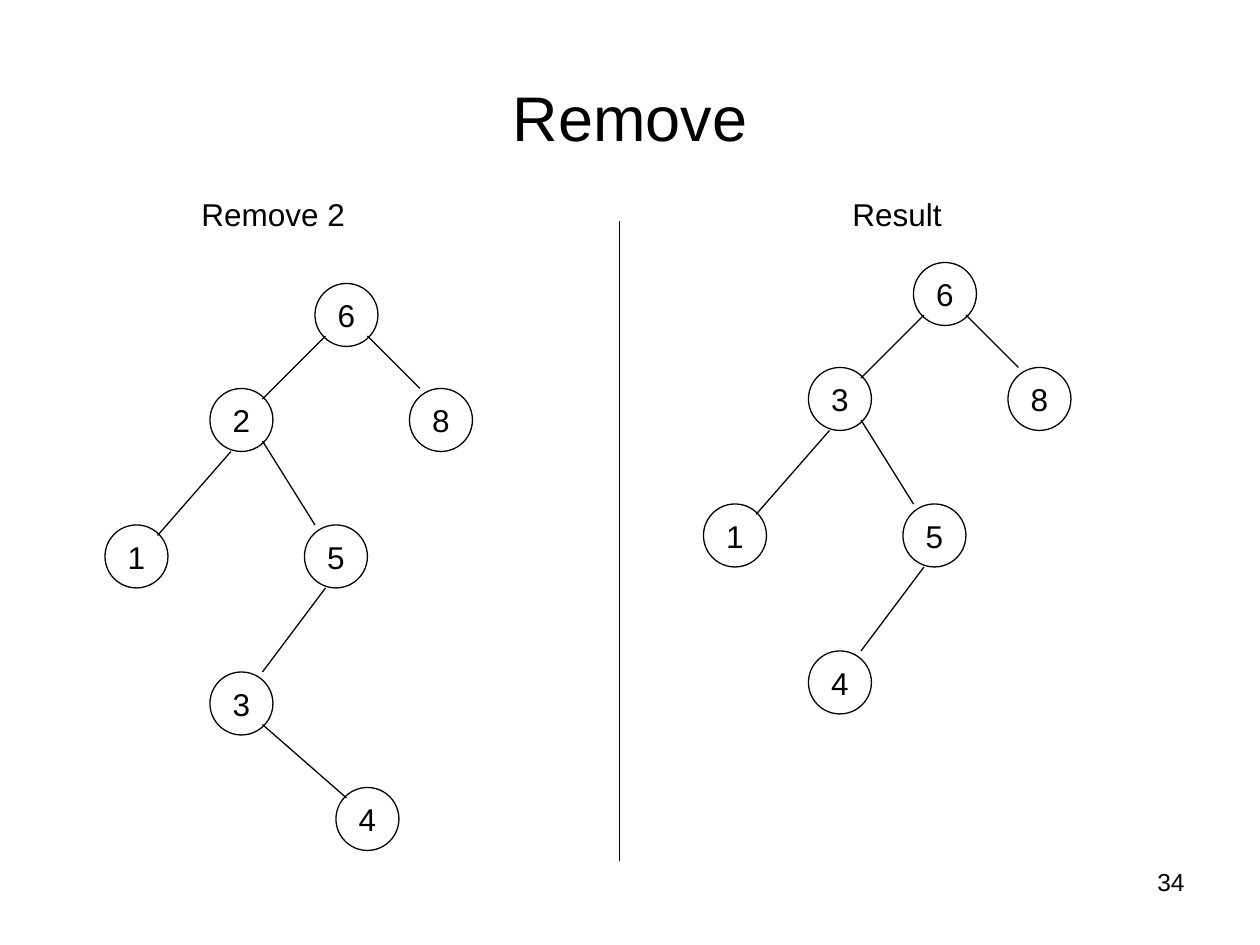
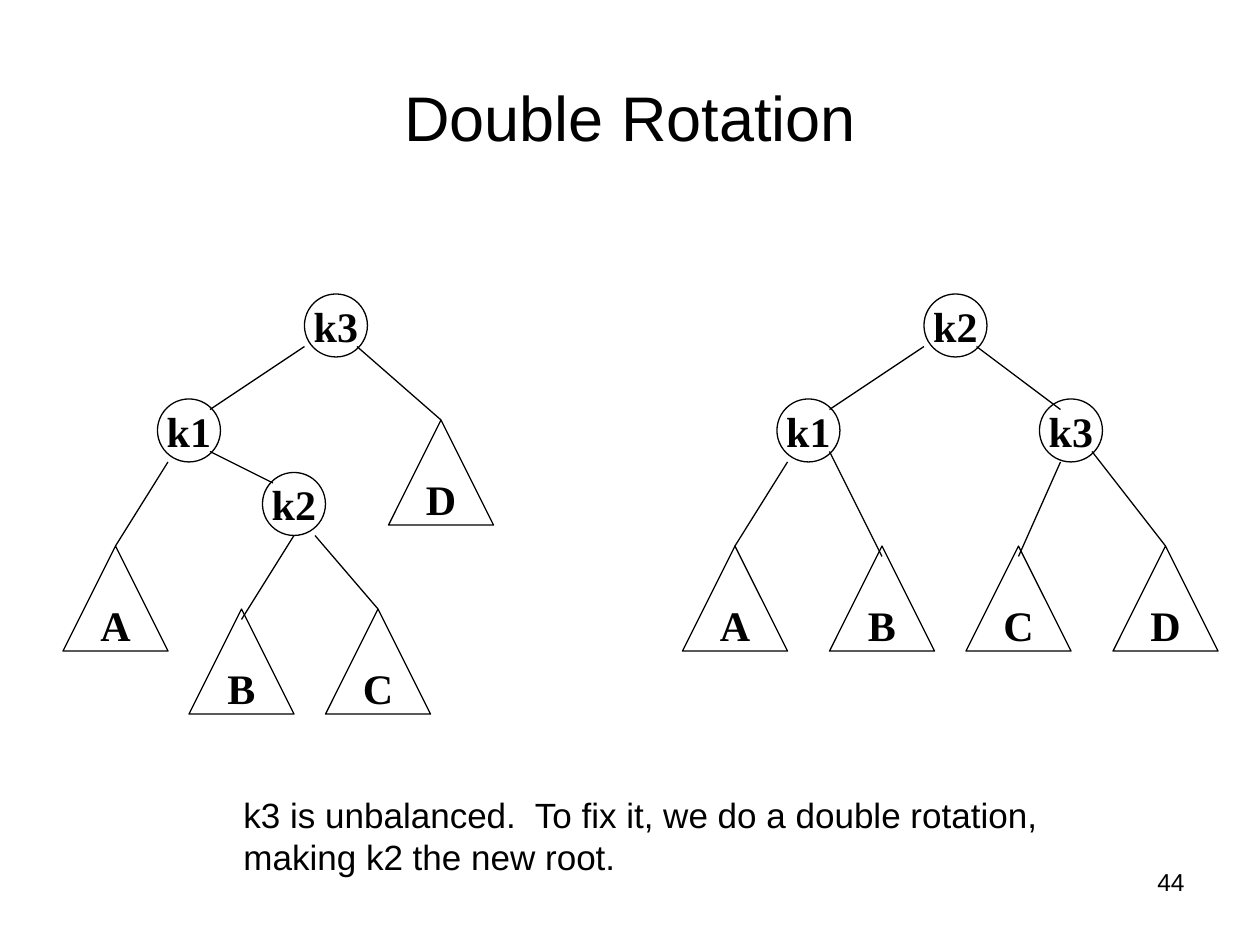
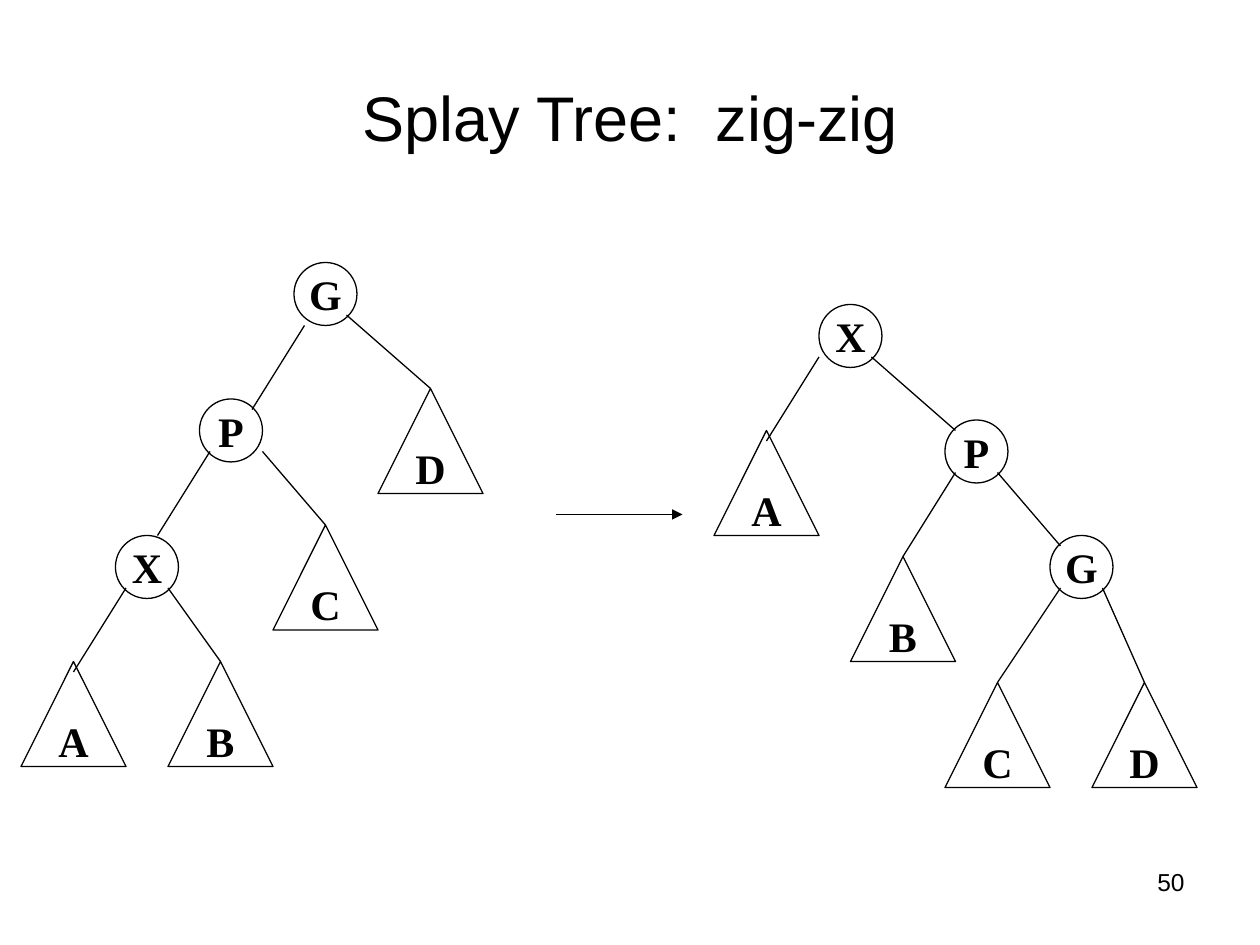
from lxml.etree import SubElement
from pptx import Presentation
from pptx.dml.color import RGBColor
from pptx.enum.shapes import MSO_CONNECTOR as CONN, MSO_SHAPE as SHAPE
from pptx.enum.text import MSO_ANCHOR as ANCHOR, PP_ALIGN as ALIGN
from pptx.oxml.ns import qn
from pptx.util import Inches, Pt

COLS, ROWS = 120, 90
CELL = Inches(10) // COLS
INK = "000000"
NODE, SUBTREE = 6, 10
SANS = {"name": "Arial", "size": Pt(18), "bold": False}
SERIF = {"name": "Times New Roman", "size": Pt(24), "bold": True}
TITLE = {**SANS, "size": Pt(36)}
NUMBER = {**SANS, "size": Pt(14)}
NOTE = {**SANS, "size": Pt(20)}


def color(value):
    return RGBColor.from_string(value)


def grid(*cells):
    return [round(c * CELL) for c in cells]


def write(sp, text, font, align=ALIGN.LEFT, anchor=ANCHOR.TOP, wrap=True):
    tf = sp.text_frame
    for name, value in {"word_wrap": wrap, "vertical_anchor": anchor}.items():
        setattr(tf, name, value)
    p = tf.paragraphs[0]
    p.alignment = align
    r = p.add_run()
    r.text = text
    for name, value in font.items():
        setattr(r.font, name, value)
    r.font.color.rgb = color(INK)


def ink_line(sp):
    sp.line.color.rgb = color(INK)
    sp.line.width = Pt(0.75)


def add_text(s, box, text, font, **layout):
    write(s.shapes.add_textbox(*grid(*box)), text, font, **layout)


def add_line(s, ends, arrow=False):
    sp = s.shapes.add_connector(CONN.STRAIGHT, *grid(*ends))
    ink_line(sp)
    if arrow:
        SubElement(sp.line._get_or_add_ln(), qn("a:tailEnd"), type="triangle")
    SubElement(sp._element.spPr, qn("a:effectLst"))


def add_vertex(s, kind, size, left, top, text, font):
    sp = s.shapes.add_shape(kind, *grid(left, top, size, size))
    sp.shadow.inherit = False
    sp.fill.background()
    ink_line(sp)
    write(sp, text, font, ALIGN.CENTER, ANCHOR.MIDDLE, wrap=False)


def add_tree(s, origin, nodes, subtrees, edges, font=SERIF):
    x, y = origin
    for kind, size, places in ((SHAPE.OVAL, NODE, nodes),
                               (SHAPE.ISOSCELES_TRIANGLE, SUBTREE, subtrees)):
        for text, (left, top) in places.items():
            add_vertex(s, kind, size, x + left, y + top, text, font)
    for x1, y1, x2, y2 in edges:
        add_line(s, (x + x1, y + y1, x + x2, y + y2))


def add_slide(prs, title, number):
    s = prs.slides.add_slide(prs.slide_layouts[5])
    sp = s.shapes.title
    sp.left, sp.top, sp.width, sp.height = grid(6, 3.6, 108, 15)
    write(sp, title, TITLE, ALIGN.CENTER, ANCHOR.MIDDLE)
    add_text(s, (86, 82, 28, 6.25), number, NUMBER, align=ALIGN.RIGHT)
    return s


def remove_slide(prs):
    s = add_slide(prs, "Remove", "34")
    shared = {"8": (29, 10), "1": (0, 23), "5": (19, 23)}
    root, removed, low, leaf = (20, 0), (10, 10), (10, 37), (22, 48)
    edges = [(21, 5, 15, 11), (12, 16, 5, 24), (25, 5, 30, 10),
             (15, 15, 20, 23), (21, 29, 15, 37)]
    before = {"6": root, "2": removed, **shared, "3": low, "4": leaf}
    after = {"6": root, "3": removed, **shared, "4": low}
    add_tree(s, (10, 27), before, {}, edges + [(15, 42, 23, 49)], SANS)
    add_line(s, (59, 21, 59, 82))
    add_tree(s, (67, 25), after, {}, edges, SANS)
    add_text(s, (18, 18, 16.2, 4.8), "Remove 2", SANS, wrap=False)
    add_text(s, (80, 18, 11, 4.8), "Result", SANS, wrap=False)


def rotation_slide(prs):
    s = add_slide(prs, "Double Rotation", "44")
    shared = [(23, 5, 14, 11), (10, 16, 5, 24)]
    add_tree(s, (6, 28),
             {"k3": (23, 0), "k2": (19, 17), "k1": (9, 10)},
             {"A": (0, 24), "B": (12, 30), "C": (25, 30), "D": (31, 12)},
             shared + [(14, 15, 20, 18), (22, 23, 17, 31),
                       (24, 23, 30, 30), (28, 5, 36, 12)])
    add_tree(s, (65, 28),
             {"k2": (23, 0), "k3": (34, 10), "k1": (9, 10)},
             {"A": (0, 24), "B": (14, 24), "C": (27, 24), "D": (41, 24)},
             shared + [(14, 15, 19, 25), (36, 16, 32, 25),
                       (28, 5, 36, 11), (39, 15, 46, 24)])
    add_text(s, (22, 75, 79, 9.25),
             "k3 is unbalanced.  To fix it, we do a double rotation, "
             "making k2 the new root.", NOTE)


def splay_slide(prs):
    s = add_slide(prs, "Splay Tree:  zig-zig", "50")
    add_tree(s, (2, 25),
             {"G": (26, 0), "X": (9, 26), "P": (17, 13)},
             {"A": (0, 38), "B": (14, 38), "C": (24, 25), "D": (34, 12)},
             [(27, 6, 22, 14), (18, 18, 13, 26), (23, 18, 29, 25),
              (31, 5, 39, 12), (10, 31, 5, 39), (14, 31, 19, 38)])
    add_line(s, (53, 49, 65, 49), arrow=True)
    add_tree(s, (68, 29),
             {"G": (32, 22), "X": (10, 0), "P": (22, 11)},
             {"A": (0, 12), "B": (13, 24), "C": (22, 36), "D": (36, 36)},
             [(33, 27, 27, 36), (23, 16, 18, 24), (27, 16, 33, 23),
              (15, 5, 23, 12), (10, 5, 5, 13), (41, 36, 37, 27)])


def main():
    prs = Presentation()
    prs.slide_width, prs.slide_height = grid(COLS, ROWS)
    for build in (remove_slide, rotation_slide, splay_slide):
        build(prs)
    prs.save("out.pptx")


if __name__ == "__main__":
    main()
